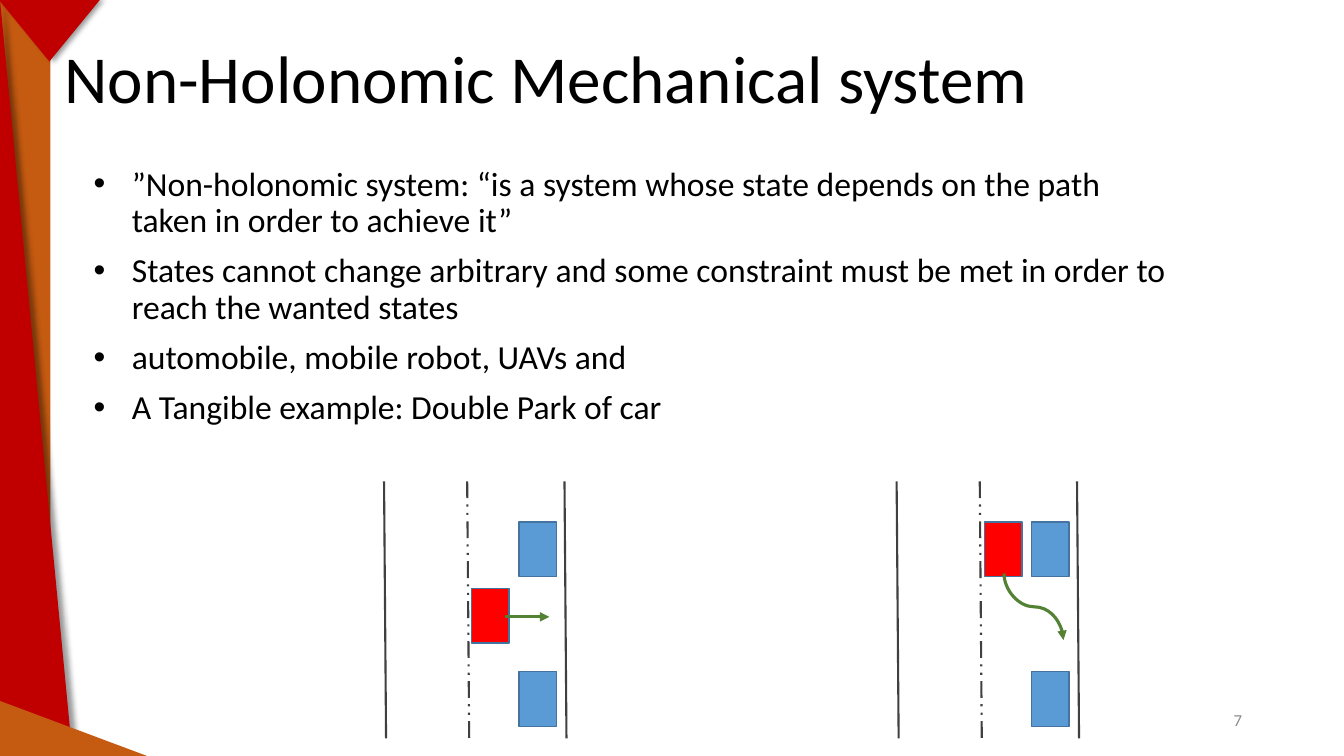
from dataclasses import dataclass

from lxml.etree import SubElement
from pptx import Presentation
from pptx.dml.color import RGBColor
from pptx.enum.dml import MSO_LINE as Dash
from pptx.enum.shapes import MSO_CONNECTOR as Link, MSO_SHAPE as Shape
from pptx.enum.text import MSO_ANCHOR as Anchor, PP_ALIGN as Align
from pptx.oxml.ns import qn
from pptx.util import Inches, Pt

CELL = 0.1  # inches per grid column and row
COLUMNS, ROWS = 133.33, 75


@dataclass(frozen=True)
class Theme:
    font: str = "Calibri"
    ink: str = "000000"
    muted: str = "8C8C8C"
    road: str = "404040"
    parked: str = "5B9BD5"
    moving: str = "FF0000"
    car_edge: str = "43739E"
    route: str = "548235"
    orange: str = "C55A11"
    red: str = "C00000"
    title: float = 48
    body: float = 24
    small: float = 12
    thin: float = 1
    medium: float = 1.5
    thick: float = 2.25


def grid(*cells):
    return [Inches(cell * CELL) for cell in cells]


def color(code):
    return RGBColor.from_string(code)


class SlideBuilder:
    def __init__(self, deck, theme):
        self.theme = theme
        self.page = deck.slides.add_slide(deck.slide_layouts[6])

    def text(self, place, lines, size, ink, align=Align.LEFT, anchor=Anchor.TOP):
        box = self.page.shapes.add_textbox(*grid(*place))
        frame = box.text_frame
        frame.word_wrap = True
        frame.vertical_anchor = anchor
        frame.text = "\n".join(lines)
        for para in frame.paragraphs:
            para.alignment = align
            para.line_spacing = 0.9
            for span in para.runs:
                span.font.name = self.theme.font
                span.font.size = Pt(size)
                span.font.color.rgb = color(ink)
        return frame

    def bullets(self, place, lines):
        frame = self.text(place, lines, self.theme.body, self.theme.ink)
        for para in frame.paragraphs:
            para.space_before = Pt(10)
            properties = para._p.get_or_add_pPr()
            properties.set("marL", str(Inches(0.38)))
            properties.set("indent", str(-Inches(0.38)))
            SubElement(properties, qn("a:buFont"), typeface="Arial")
            SubElement(properties, qn("a:buChar"), char="•")

    def shape(self, kind, place, fill, edge=None, shadow=False):
        shape = self.page.shapes.add_shape(kind, *grid(*place))
        shape.shadow.inherit = False
        shape.fill.solid()
        shape.fill.fore_color.rgb = color(fill)
        if edge:
            shape.line.color.rgb = color(edge)
            shape.line.width = Pt(self.theme.thin)
        else:
            shape.line.fill.background()
        if shadow:
            effects = shape._element.spPr.find(qn("a:effectLst"))
            outer = SubElement(effects, qn("a:outerShdw"), blurRad=str(Pt(4)),
                               dist=str(Pt(3)), dir="0", algn="l", rotWithShape="0")
            black = SubElement(outer, qn("a:srgbClr"), val=self.theme.ink)
            SubElement(black, qn("a:alpha"), val="40000")

    def line(self, start, end, ink, width, kind=Link.STRAIGHT, dash=None, arrow=False):
        line = self.page.shapes.add_connector(kind, *grid(*start, *end))
        line.line.color.rgb = color(ink)
        line.line.width = Pt(width)
        if dash:
            line.line.dash_style = dash
        if arrow:
            SubElement(line.line._get_or_add_ln(), qn("a:tailEnd"), type="triangle")
        SubElement(line._element.spPr, qn("a:effectLst"))
        return line

    def route(self, start, end):
        self.line(start, end, self.theme.route, self.theme.thick, arrow=True)

    def curved_route(self, start, end):
        """Draw an S curve that leaves and arrives vertically: a level one, turned."""
        (left, top), (right, bottom) = start, end
        middle_x, middle_y = (left + right) / 2, (top + bottom) / 2
        half_width, half_height = (right - left) / 2, (bottom - top) / 2
        curve = self.line((middle_x + half_height, middle_y - half_width),
                          (middle_x - half_height, middle_y + half_width),
                          self.theme.route, self.theme.thick, Link.CURVE, arrow=True)
        curve._element.spPr.find(qn("a:xfrm")).set("rot", str(270 * 60000))

    def car(self, left, top, fill):
        self.shape(Shape.RECTANGLE, (left, top, 3.7, 5.4), fill, self.theme.car_edge)

    def road(self, left, moving_car):
        """Draw a road with two parked cars and a moving one, given by its offset and top."""
        top, length, lean = 47.75, 25.5, 0.2
        for offset, dash in ((0, None), (8.25, Dash.DASH_DOT_DOT), (17.9, None)):
            self.line((left + offset, top), (left + offset + lean, top + length),
                      self.theme.road, self.theme.medium, dash=dash)
        for car_top in (51.8, 66.65):
            self.car(left + 13.4, car_top, self.theme.parked)
        offset, car_top = moving_car
        self.car(left + offset, car_top, self.theme.moving)

    def ribbon(self):
        red, orange = self.theme.red, self.theme.orange
        self.shape(Shape.RECTANGLE, (0, 0, 5, ROWS), orange)
        self.shape(Shape.RIGHT_TRIANGLE, (0, 0, 7.2, ROWS), red, shadow=True)
        self.shape(Shape.FLOWCHART_MERGE, (-0.1, 0, 10, 6.1), red, shadow=True)
        self.shape(Shape.RIGHT_TRIANGLE, (-0.1, 69.5, 14.7, 5.5), orange)


def main():
    deck = Presentation()
    deck.slide_width, deck.slide_height = grid(COLUMNS, ROWS)
    theme = Theme()
    slide = SlideBuilder(deck, theme)

    slide.text((4.2, 3.1, 100, 9.1), ["Non-Holonomic Mechanical system"],
               theme.title, theme.ink, Align.CENTER, Anchor.BOTTOM)
    slide.bullets((8.3, 16.1, 109.3, 30.9), [
        "”Non-holonomic system: “is a system whose state depends on the path "
        "taken in order to achieve it”",
        "States cannot change arbitrary and some constraint must be met in order to "
        "reach the wanted states",
        "automobile, mobile robot, UAVs and",
        "A Tangible example: Double Park of car",
    ])

    slide.road(38.1, moving_car=(8.7, 58.4))
    slide.route((50.1, 61.2), (54.5, 61.2))
    slide.road(88.95, moving_car=(8.75, 51.8))
    slide.curved_route((99.6, 56.9), (105.5, 63.5))

    slide.text((94.2, 69.5, 30, 4), ["7"], theme.small, theme.muted,
               Align.RIGHT, Anchor.MIDDLE)
    slide.ribbon()
    deck.save("out.pptx")


if __name__ == "__main__":
    main()
